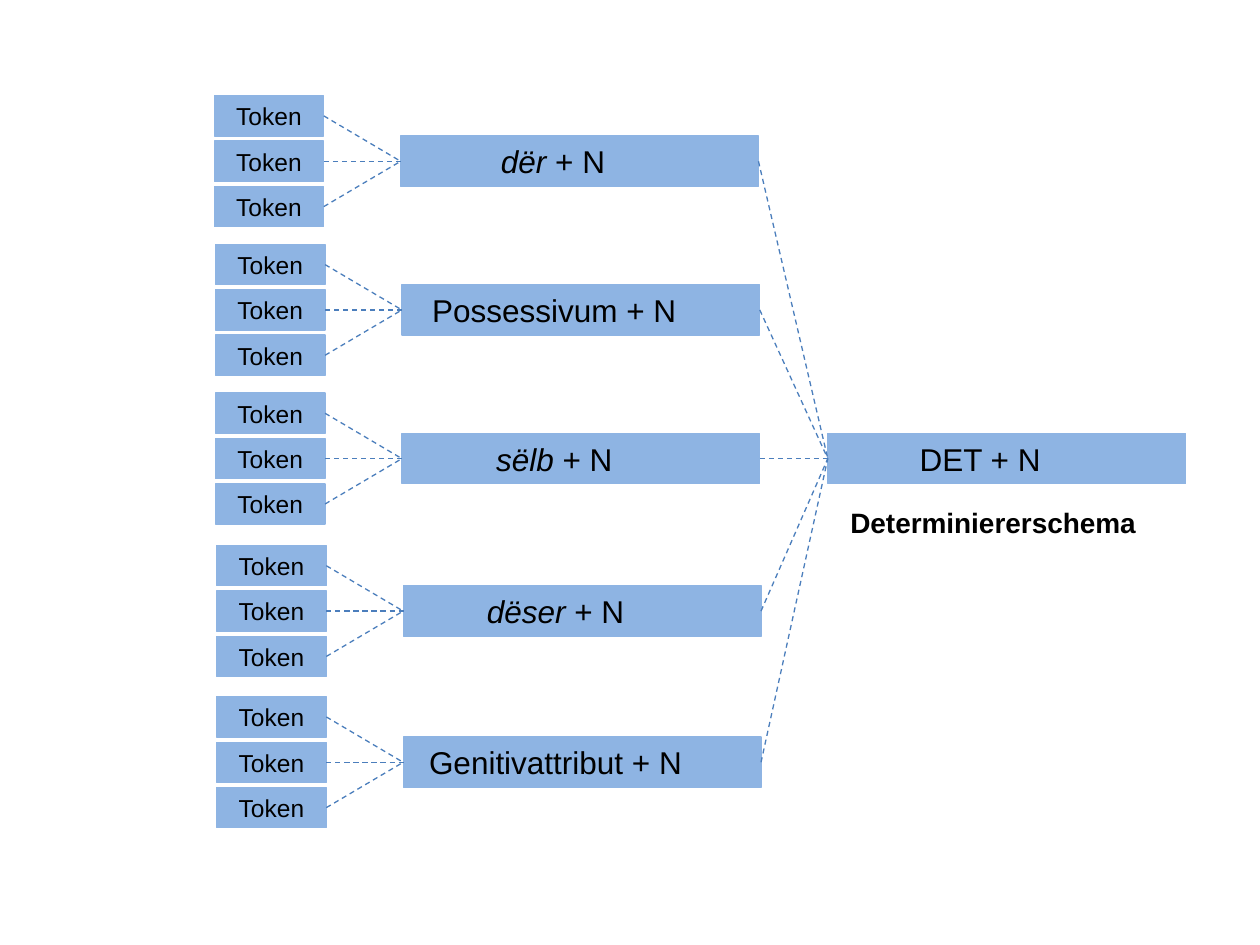
from lxml.etree import SubElement as SubEl
from pptx import Presentation
from pptx.dml.color import RGBColor
from pptx.enum.dml import MSO_LINE as Dash
from pptx.enum.shapes import MSO_CONNECTOR as Conn, MSO_SHAPE as Shape
from pptx.enum.text import MSO_ANCHOR as Anchor, MSO_AUTO_SIZE as Fit, PP_ALIGN as Align
from pptx.oxml.ns import qn
from pptx.util import Inches, Pt

BLUE = RGBColor(0x8E, 0xB4, 0xE3)
LINE = RGBColor(0x4B, 0x7E, 0xBC)
BLACK = RGBColor(0, 0, 0)
FONT = "Arial"

BOX_W, BOX_H = 2.84, 0.4
TOK_W, TOK_H = 0.87, 0.32
TOK_DX = 1.48      # from token left to box left
TOK_GAP = 0.36     # between token centres
DET_X, DET_Y = 6.57, 3.64

# Left edge, middle, italic word, upright rest
ROWS = [
    (3.18, 1.28, "dër ", "+ N"),
    (3.19, 2.46, "", "Possessivum + N"),
    (3.19, 3.64, "sëlb ", "+ N"),
    (3.20, 4.85, "dëser ", "+ N"),
    (3.20, 6.05, "", "Genitivattribut + N"),
]


def add_run(para, text, size, bold=False, italic=False):
    run = para.add_run()
    run.text = text
    font = run.font
    font.name, font.size = FONT, Pt(size)
    font.bold, font.italic = bold, italic
    font.color.rgb = BLACK


def add_rect(shapes, x, mid, w, h):
    rect = shapes.add_shape(Shape.RECTANGLE, Inches(x), Inches(mid - h / 2),
                            Inches(w), Inches(h))
    rect.shadow.inherit = False
    rect.fill.solid()
    rect.fill.fore_color.rgb = BLUE
    rect.line.color.rgb = BLUE
    rect.line.width = Pt(0.75)
    frame = rect.text_frame
    frame.word_wrap = True
    frame.auto_size = Fit.SHAPE_TO_FIT_TEXT
    frame.paragraphs[0].alignment = Align.CENTER
    return frame


def add_box(shapes, x, mid, word, rest):
    frame = add_rect(shapes, x, mid, BOX_W, BOX_H)
    frame.vertical_anchor = Anchor.TOP
    frame.margin_right = Inches(0.52)  # shifts the label left of centre
    if word:
        add_run(frame.paragraphs[0], word, 18, italic=True)
    add_run(frame.paragraphs[0], rest, 18)


def add_token(shapes, x, mid):
    frame = add_rect(shapes, x, mid, TOK_W, TOK_H)
    frame.vertical_anchor = Anchor.MIDDLE
    frame.margin_left = frame.margin_right = Inches(0.04)
    frame.margin_top = frame.margin_bottom = Inches(0.04)
    add_run(frame.paragraphs[0], "Token", 14)


def add_link(shapes, x1, y1, x2, y2):
    link = shapes.add_connector(Conn.STRAIGHT, Inches(x1), Inches(y1),
                                Inches(x2), Inches(y2))
    link.line.color.rgb = LINE
    link.line.width = Pt(0.75)
    link.line.dash_style = Dash.DASH
    SubEl(link._element.spPr, qn("a:effectLst"))


def add_row(shapes, x, mid, word, rest):
    group = shapes.add_group_shape().shapes
    add_box(group, x, mid, word, rest)
    left = x - TOK_DX
    steps = (-1, 0, 1)
    for step in steps:
        add_token(group, left, mid + step * TOK_GAP)
    for step in steps:
        end = x if step else x + 0.03
        add_link(group, left + TOK_W, mid + step * TOK_GAP, end, mid)


def add_label(shapes, text):
    label = shapes.add_textbox(Inches(6.65), Inches(3.96), Inches(2.95), Inches(0.37))
    label.text_frame.word_wrap = True
    add_run(label.text_frame.paragraphs[0], text, 16, bold=True)


def main():
    prs = Presentation()
    prs.slide_width, prs.slide_height = Inches(10), Inches(7.5)
    shapes = prs.slides.add_slide(prs.slide_layouts[6]).shapes

    # Schema on the right
    add_box(shapes, DET_X, DET_Y, "", "DET + N")
    add_label(shapes, "Determiniererschema")

    # Token groups, each joined to the schema
    for x, mid, word, rest in ROWS:
        add_row(shapes, x, mid, word, rest)
        add_link(shapes, x + BOX_W, mid, DET_X, DET_Y)

    prs.save("out.pptx")


main()
